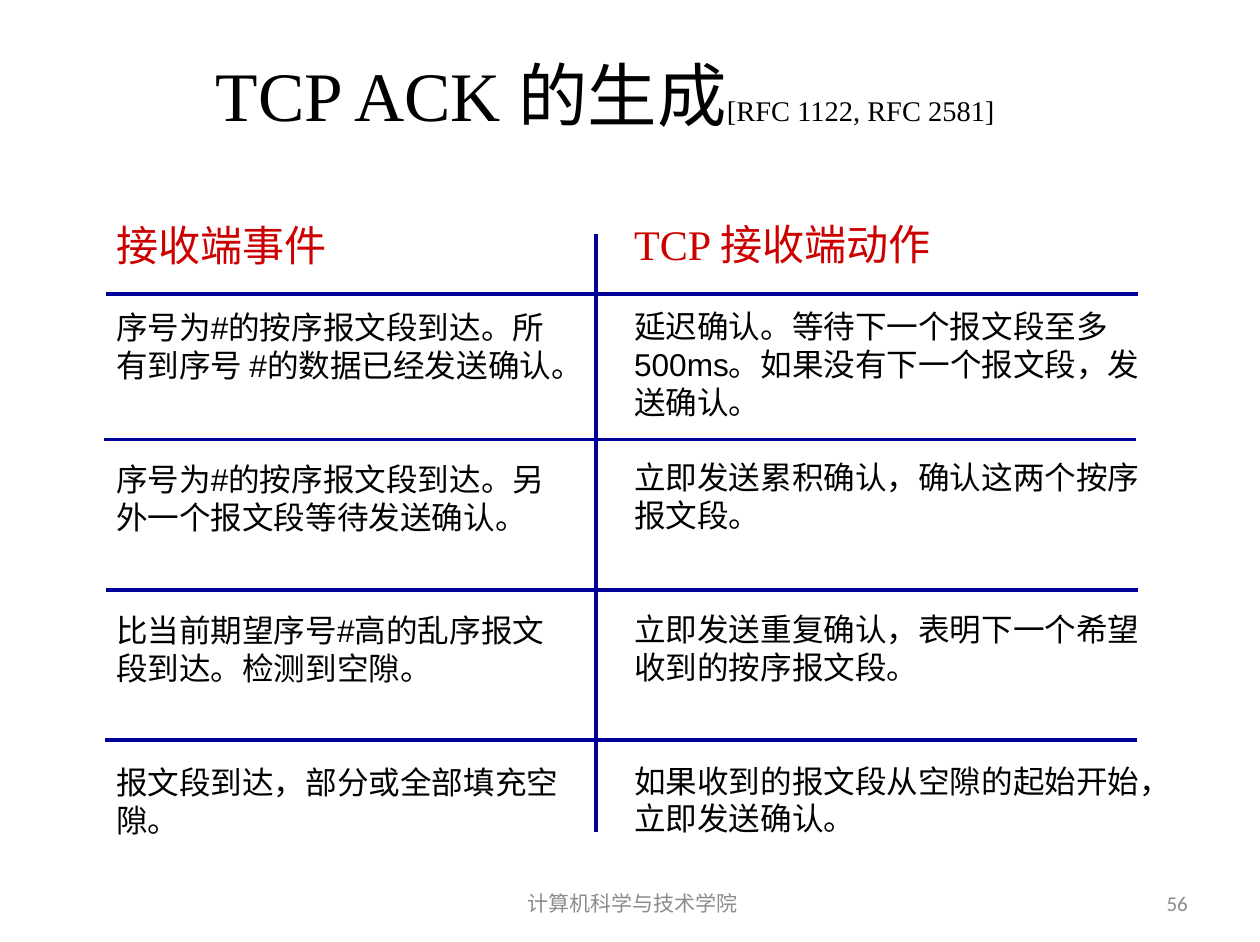
import dataclasses
import typing

import pptx
import pptx.dml.color
import pptx.enum.shapes
import pptx.enum.text
import pptx.oxml
import pptx.oxml.ns
import pptx.util

Inches = pptx.util.Inches
Pt = pptx.util.Pt
Align = pptx.enum.text.PP_ALIGN
Anchor = pptx.enum.text.MSO_ANCHOR

HUES = {"ink": "000000", "head": "CC0000", "rule": "000099", "foot": "8C8C8C"}
STEP = 21.6


@dataclasses.dataclass
class Box:
    left: float
    top: float
    width: float
    height: float


@dataclasses.dataclass
class Column:
    box: Box
    head: str
    rows: list[tuple[int, str]]


@dataclasses.dataclass
class Rule:
    x1: float
    y1: float
    x2: float
    y2: float


@dataclasses.dataclass
class Foot:
    box: Box
    text: str
    font: str
    align: typing.Any


COLUMNS = [
    Column(Box(0.82, 1.69, 3.75, 5.05), "接收端事件", [
        (1, "序号为#的按序报文段到达。所有到序号 #的数据已经发送确认。"),
        (2, "序号为#的按序报文段到达。另外一个报文段等待发送确认。"),
        (2, "比当前期望序号#高的乱序报文段到达。检测到空隙。"),
        (2, "报文段到达，部分或全部填充空隙。"),
    ]),
    Column(Box(4.92, 1.68, 4.31, 5.22), "TCP 接收端动作", [
        (1, "延迟确认。等待下一个报文段至多 500ms。如果没有下一个报文段，发送确认。"),
        (1, "立即发送累积确认，确认这两个按序报文段。"),
        (2, "立即发送重复确认，表明下一个希望收到的按序报文段。"),
        (2, "如果收到的报文段从空隙的起始开始，立即发送确认。"),
    ]),
]
RULES = [Rule(4.72, 1.85, 4.72, 6.59)] + [
    Rule(x, y, x + 8.17, y)
    for x, y in [(0.84, 2.33), (0.82, 3.48), (0.84, 4.67), (0.83, 5.86)]
]
FEET = [
    Foot(Box(7.17, 6.95, 2.33, 0.4), "56", "Calibri", Align.RIGHT),
    Foot(Box(3.42, 6.95, 3.17, 0.4), "计算机科学与技术学院",
         "Noto Sans CJK SC", Align.CENTER),
]


def write(para: typing.Any, text: str, *, size: float, font: str,
          hue: str = "ink", align: typing.Any = None, gap: float = 0) -> None:
    """Add a formatted run to a paragraph."""
    run = para.add_run()
    run.text = text
    run.font.size = Pt(size)
    run.font.name = font
    run.font.color.rgb = pptx.dml.color.RGBColor.from_string(HUES[hue])
    para.alignment = align
    para.space_before = Pt(gap)


def area(box: Box) -> list[int]:
    """Convert a box to slide lengths."""
    return [Inches(n) for n in dataclasses.astuple(box)]


def frame(slide: typing.Any, box: Box, anchor: typing.Any) -> typing.Any:
    """Add a wrapping text box and return its text frame."""
    body = slide.shapes.add_textbox(*area(box)).text_frame
    body.word_wrap = True
    body.vertical_anchor = anchor
    return body


def draw_title(slide: typing.Any) -> None:
    """Place and fill the title."""
    title = slide.shapes.title
    title.left, title.top, title.width, title.height = area(
        Box(0.55, 0.38, 8.48, 0.73))
    title.text_frame.vertical_anchor = Anchor.MIDDLE
    para = title.text_frame.paragraphs[0]
    for text, size in [("TCP ACK 的生成", 39.6), ("[RFC 1122, RFC 2581]", 16.2)]:
        write(para, text, size=size, font="Times New Roman", align=Align.CENTER)


def draw_column(slide: typing.Any, col: Column) -> None:
    """Draw a heading with its spaced entries."""
    body = frame(slide, col.box, Anchor.TOP)
    write(body.paragraphs[0], col.head, size=24, font="Times New Roman", hue="head")
    for lines, text in col.rows:
        write(body.add_paragraph(), text, size=18, font="Arial", gap=lines * STEP)


def draw_rule(slide: typing.Any, rule: Rule) -> None:
    """Draw a plain divider."""
    ends = [Inches(n) for n in dataclasses.astuple(rule)]
    line = slide.shapes.add_connector(
        pptx.enum.shapes.MSO_CONNECTOR.STRAIGHT, *ends)
    line.line.color.rgb = pptx.dml.color.RGBColor.from_string(HUES["rule"])
    line.line.width = Pt(2.25)
    props = line._element.spPr
    props.append(props.makeelement(pptx.oxml.ns.qn("a:effectLst"), {}))


def draw_foot(slide: typing.Any, foot: Foot) -> None:
    """Draw a footer text."""
    body = frame(slide, foot.box, Anchor.MIDDLE)
    write(body.paragraphs[0], foot.text, size=12, font=foot.font,
          hue="foot", align=foot.align)


def main() -> None:
    """Build and save the slide."""
    deck = pptx.Presentation()
    deck.slide_width = Pt(718)
    deck.slide_height = Pt(537)
    slide = deck.slides.add_slide(deck.slide_layouts[5])
    draw_title(slide)
    for col in COLUMNS:
        draw_column(slide, col)
    for rule in RULES:
        draw_rule(slide, rule)
    for foot in FEET:
        draw_foot(slide, foot)
    deck.save("out.pptx")


if __name__ == "__main__":
    main()
